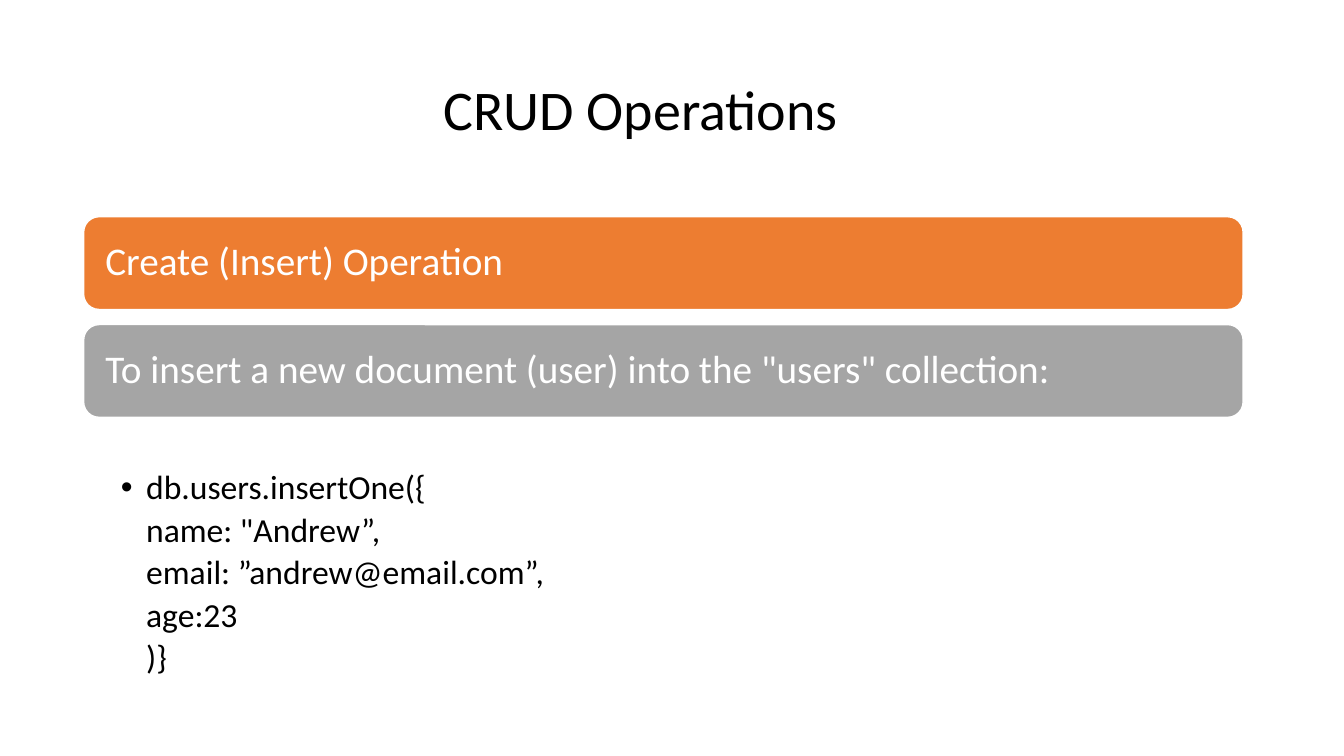
from lxml.etree import SubElement
from pptx import Presentation
from pptx.dml.color import RGBColor
from pptx.enum.shapes import MSO_SHAPE as Shape
from pptx.enum.text import MSO_ANCHOR as Anchor, MSO_AUTO_SIZE as AutoSize, PP_ALIGN as Align
from pptx.oxml.ns import qn
from pptx.util import Inches, Pt

COLORS = {"white": "FFFFFF", "black": "000000", "orange": "ED7D31", "gray": "A5A5A5"}
BANNERS = [
    ("Create (Insert) Operation", "orange"),
    ('To insert a new document (user) into the "users" collection:', "gray"),
]
INSERT_CODE = ["db.users.insertOne({", 'name: "Andrew”,', "email: ”andrew@email.com”,", "age:23", ")}"]


class SlideBuilder:
    """Holds the style and the current slide."""

    def __init__(self, page, font="Calibri"):
        """Keep the page and its font."""
        self.page = page
        self.font = font

    def color(self, name):
        """Look up a named colour."""
        return RGBColor.from_string(COLORS[name])

    def style(self, para, size, color, align=Align.LEFT):
        """Format a whole paragraph."""
        para.font.name = self.font
        para.font.size = Pt(size)
        para.font.color.rgb = self.color(color)
        para.alignment = align

    def title(self, text, left, top, width, height):
        """Place and format the title."""
        box = self.page.shapes.title
        box.left, box.top, box.width, box.height = map(Inches, (left, top, width, height))
        frame = box.text_frame
        frame.text = text
        frame.auto_size = AutoSize.NONE
        frame.vertical_anchor = Anchor.MIDDLE
        self.style(frame.paragraphs[0], 40, "black", Align.CENTER)

    def banner(self, text, fill, left, top, width, height):
        """Add a rounded bar with text."""
        box = self.page.shapes.add_shape(
            Shape.ROUNDED_RECTANGLE, *map(Inches, (left, top, width, height)))
        box.shadow.inherit = False
        box.fill.solid()
        box.fill.fore_color.rgb = self.color(fill)
        box.line.color.rgb = self.color("white")
        box.line.width = Pt(1)
        frame = box.text_frame
        frame.text = text
        frame.word_wrap = True
        frame.vertical_anchor = Anchor.MIDDLE
        frame.margin_left = frame.margin_right = Inches(0.17)
        para = frame.paragraphs[0]
        para.line_spacing = 0.9
        self.style(para, 28, "white")

    def code(self, lines, left, top, width, height):
        """Add code lines, the first one bulleted."""
        box = self.page.shapes.add_textbox(*map(Inches, (left, top, width, height)))
        frame = box.text_frame
        frame.word_wrap = True
        frame.margin_left, frame.margin_right = Inches(0.37), Inches(0.19)
        frame.margin_top = frame.margin_bottom = Inches(0.03)
        frame.text = "\n".join(lines)
        for index, para in enumerate(frame.paragraphs):
            para.line_spacing = 0.9
            para.space_after = Pt(4.4)
            self.style(para, 24, "black")
            properties = para._p.get_or_add_pPr()
            properties.set("marL", str(Inches(0.25)))
            properties.set("indent", str(0 if index else -Inches(0.25)))
            if index == 0:
                SubElement(properties, qn("a:buFont"), typeface="Arial")
                SubElement(properties, qn("a:buChar"), char="•")


def main():
    """Build and save the slide."""
    deck = Presentation()
    deck.slide_width, deck.slide_height = Inches(13.33), Inches(7.5)
    builder = SlideBuilder(deck.slides.add_slide(deck.slide_layouts[5]))
    for row, (text, fill) in enumerate(BANNERS):
        builder.banner(text, fill, 0.83, 2.15 + row * 1.07, 11.5, 0.92)
    builder.code(INSERT_CODE, 0.83, 4.64, 11.5, 2.25)
    builder.title("CRUD Operations", 0.95, 0.69, 10.81, 0.77)
    deck.save("out.pptx")


if __name__ == "__main__":
    main()
